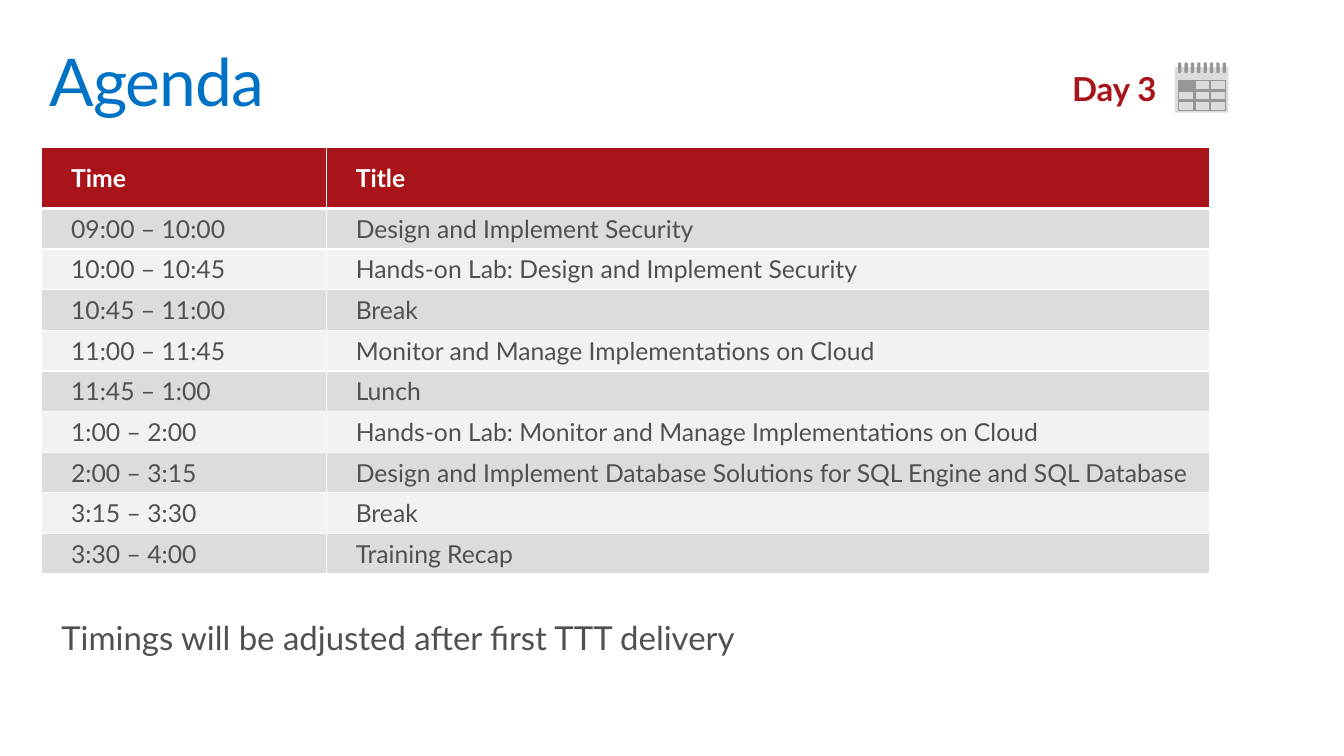
import pptx
import pptx.util
import pptx.dml.color
import pptx.enum.shapes
import pptx.enum.text
import pptx.oxml
import pptx.oxml.ns

Pt = pptx.util.Pt
RGB = pptx.dml.color.RGBColor
Shape = pptx.enum.shapes.MSO_SHAPE
Anchor = pptx.enum.text.MSO_ANCHOR
Fit = pptx.enum.text.MSO_AUTO_SIZE

BLUE = RGB(0x00, 0x72, 0xC6)
RED = RGB(0xA8, 0x14, 0x1A)
WHITE = RGB(0xFF, 0xFF, 0xFF)
DARK = RGB(0x50, 0x50, 0x50)
GREY = RGB(0x96, 0x96, 0x96)
PALE = RGB(0xDC, 0xDC, 0xDC)
LIGHT = RGB(0xF2, 0xF2, 0xF2)


def write(frame, text, size, color, bold=False):
    frame.text = text
    para = frame.paragraphs[0]
    para.font.name = "Lato"
    para.font.size = Pt(size)
    para.font.bold = bold
    para.font.color.rgb = color
    return para


def block(kind, left, top, width, height, color):
    item = icon.shapes.add_shape(kind, Pt(left), Pt(top), Pt(width), Pt(height))
    item.shadow.inherit = False
    item.fill.solid()
    item.fill.fore_color.rgb = color
    item.line.fill.background()
    return item


deck = pptx.Presentation()
deck.slide_width, deck.slide_height = Pt(979.2), Pt(550.8)
slide = deck.slides.add_slide(deck.slide_layouts[5])

title = slide.shapes.title
title.left, title.top, title.width, title.height = Pt(28.8), Pt(28.8), Pt(684.7), Pt(72)
frame = title.text_frame
frame.margin_left = frame.margin_right = frame.margin_top = frame.margin_bottom = Pt(7.2)
frame.vertical_anchor = Anchor.TOP
frame.auto_size = Fit.NONE
para = write(frame, "Agenda", 48, BLUE)
para.alignment = pptx.enum.text.PP_ALIGN.LEFT
para.line_spacing = 0.9
para.runs[0].font._element.set("spc", "-70")

agenda = [
    ("Time", "Title"),
    ("09:00 – 10:00", "Design and Implement Security"),
    ("10:00 – 10:45", "Hands-on Lab: Design and Implement Security"),
    ("10:45 – 11:00", "Break"),
    ("11:00 – 11:45", "Monitor and Manage Implementations on Cloud"),
    ("11:45 – 1:00", "Lunch"),
    ("1:00 – 2:00", "Hands-on Lab: Monitor and Manage Implementations on Cloud"),
    ("2:00 – 3:15", "Design and Implement Database Solutions for SQL Engine and SQL Database"),
    ("3:15 – 3:30", "Break"),
    ("3:30 – 4:00", "Training Recap"),
]
table = slide.shapes.add_table(
    len(agenda), 2, Pt(30.24), Pt(107.3), Pt(851), Pt(311)).table
table.columns[0].width, table.columns[1].width = Pt(207.4), Pt(643.6)
for row, texts in enumerate(agenda):
    table.rows[row].height = Pt(29.6 if row else 44.6)
    for col, text in enumerate(texts):
        cell = table.cell(row, col)
        cell.margin_left, cell.margin_right = Pt(21.6), Pt(7.2)
        cell.margin_top = cell.margin_bottom = Pt(3.6)
        cell.vertical_anchor = Anchor.MIDDLE
        write(cell.text_frame, text, 18, DARK if row else WHITE, row == 0)
        cell.fill.solid()
        cell.fill.fore_color.rgb = (PALE if row % 2 else LIGHT) if row else RED
        props = cell._tc.get_or_add_tcPr()
        for spot, side in enumerate("LRTB"):
            thick = (row, side) in ((0, "B"), (1, "T"))
            props.insert(spot, pptx.oxml.parse_xml(
                f'<a:ln{side} {pptx.oxml.ns.nsdecls("a")} w="{Pt(3 if thick else 1)}">'
                f'<a:solidFill><a:srgbClr val="{WHITE}"/></a:solidFill></a:ln{side}>'))

icon = slide.shapes.add_group_shape()
block(Shape.RECTANGLE, 856.1, 49, 38.9, 33.1, PALE)
for ring in range(8):
    pin = block(Shape.ROUNDED_RECTANGLE, 858.3 + 4.64 * ring, 45.4, 2.4, 7.9, GREY)
    pin.adjustments[0] = 0.5

left, top, width, height = 858.6, 58.6, 34.5, 21.9
grid = block(Shape.RECTANGLE, left, top, width, height, PALE)
grid.fill.background()
grid.line.color.rgb = GREY
grid.line.width = Pt(0.75)
for part in (1, 2):
    x, y = left + width * part / 3, top + height * part / 3
    for ends in ((left, y, left + width, y), (x, top, x, top + height)):
        rule = icon.shapes.add_connector(
            pptx.enum.shapes.MSO_CONNECTOR.STRAIGHT, *map(Pt, ends))
        rule.line.color.rgb = GREY
        rule.line.width = Pt(2.13)
        rule._element.spPr.append(
            pptx.oxml.parse_xml(f'<a:effectLst {pptx.oxml.ns.nsdecls("a")}/>'))
block(Shape.RECTANGLE, left, top, width / 3, height / 3, GREY)

day = slide.shapes.add_textbox(Pt(774), Pt(46.1), Pt(79.2), Pt(36)).text_frame
day.word_wrap = False
day.auto_size = Fit.SHAPE_TO_FIT_TEXT
write(day, "Day 3", 24, RED, True)

note = slide.shapes.add_textbox(Pt(30.24), Pt(441.4), Pt(526.3), Pt(49.7)).text_frame
note.word_wrap = False
note.auto_size = Fit.SHAPE_TO_FIT_TEXT
note.margin_left = note.margin_right = Pt(14.4)
note.margin_top = note.margin_bottom = Pt(11.5)
para = write(note, "Timings will be adjusted after first TTT delivery", 24, DARK)
para.line_spacing = 0.9
para.space_after = Pt(6)

deck.save("out.pptx")
